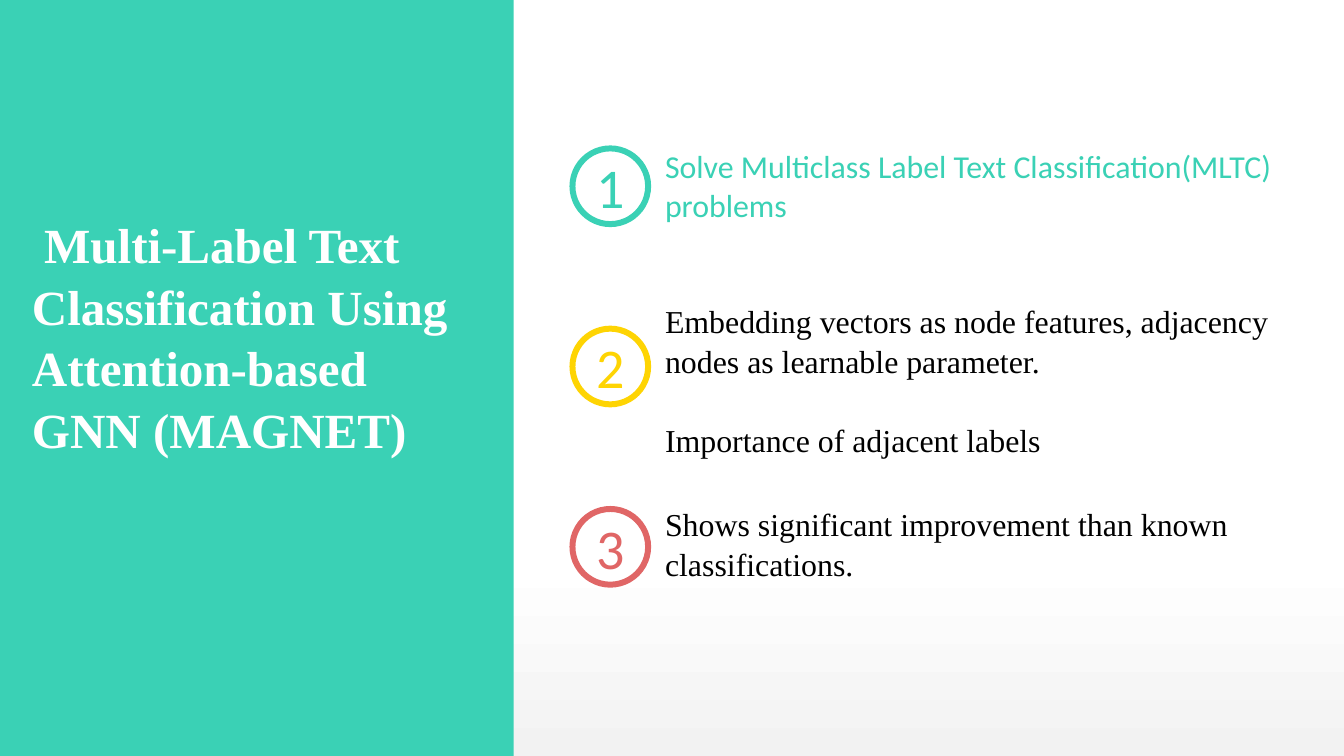
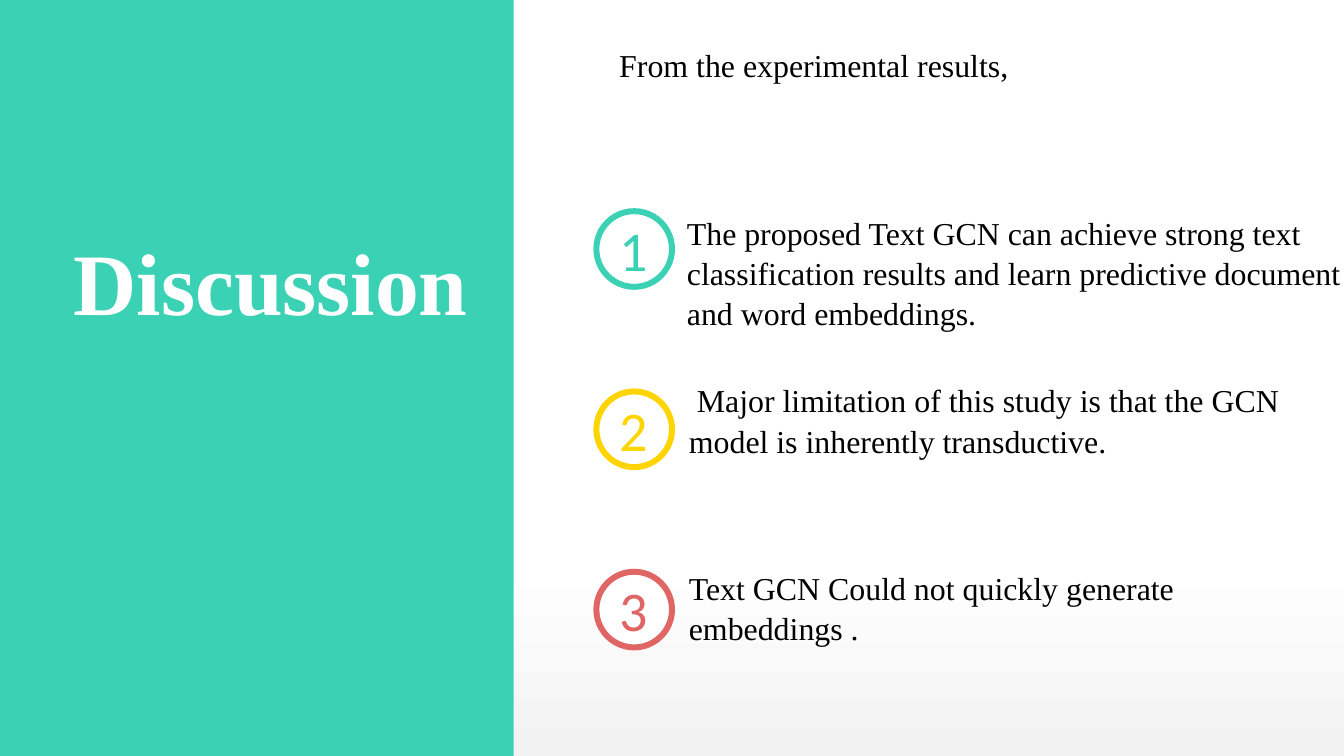
import dataclasses

import pptx
import pptx.dml.color
import pptx.enum.shapes
import pptx.enum.text
import pptx.util

PX = 9525
ANCHOR = pptx.enum.text.MSO_ANCHOR
ALIGN = pptx.enum.text.PP_ALIGN
SHAPE = pptx.enum.shapes.MSO_SHAPE
rgb = pptx.dml.color.RGBColor.from_string


@dataclasses.dataclass(frozen=True)
class Theme:
    white: str = "FFFFFF"
    grey: str = "F2F2F2"
    black: str = "000000"
    teal: str = "3AD1B5"
    yellow: str = "FED403"
    red: str = "E06666"
    serif: str = "Times New Roman"
    sans: str = "Calibri"
    body_size: float = 24
    number_size: float = 42.2
    ring_width: float = 4.5
    serif_spacing: float = 1.05


theme = Theme()
WIDTH, HEIGHT = 1350, 759
BAND_WIDTH = 516
RING_SIZE, RING_STEP = 76, 181


def write(shape, lines, size, font, color, anchor=ANCHOR.MIDDLE,
          align=ALIGN.LEFT, bold=False, gap=0, inset=0):
    """Fill a shape with one paragraph per line, gap points apart."""
    frame = shape.text_frame
    frame.word_wrap = True
    frame.auto_size = pptx.enum.text.MSO_AUTO_SIZE.NONE
    frame.vertical_anchor = anchor
    frame.margin_left = frame.margin_right = inset * PX
    frame.margin_top = frame.margin_bottom = inset * PX
    frame.text = "\n".join(lines)
    for para in frame.paragraphs:
        para.alignment = align
        para.line_spacing = theme.serif_spacing if font == theme.serif else 1.0
        for span in para.runs:
            span.font.name = font
            span.font.size = pptx.util.Pt(size)
            span.font.bold = bold
            span.font.color.rgb = rgb(color)
    for para in frame.paragraphs[:-1]:
        para.space_after = pptx.util.Pt(gap)


def add_filled(page, kind, box, color):
    shape = page.shapes.add_shape(kind, *(length * PX for length in box))
    shape.shadow.inherit = False
    shape.fill.solid()
    shape.fill.fore_color.rgb = rgb(color)
    shape.line.fill.background()
    return shape


# Each point: box, lines, font, colour, gap between paragraphs
slides = [
    dict(
        title=" Multi-Label Text Classification Using Attention-based GNN (MAGNET)",
        title_box=(32, 212, 453, 239), title_size=37, ring_at=(575, 149), intro=None,
        points=[
            ((668, 149, 643, 74),
             ["Solve Multiclass Label Text Classification(MLTC) problems"],
             theme.sans, theme.teal, 0),
            ((668, 300, 643, 161),
             ["Embedding vectors as node features, adjacency nodes as learnable parameter.",
              "Importance of adjacent labels"],
             theme.serif, theme.black, 29),
            ((668, 508, 634, 74),
             ["Shows significant improvement than known classifications."],
             theme.serif, theme.black, 0),
        ],
    ),
    dict(
        title=" Discussion",
        title_box=(52, 224, 453, 107), title_size=66, ring_at=(599, 212),
        intro="From the experimental results,",
        points=[
            ((690, 236, 668, 74),
             ["The proposed Text GCN can achieve strong text classification results "
              "and learn predictive document and word embeddings."],
             theme.serif, theme.black, 0),
            ((692, 384, 668, 74),
             [" Major limitation of this study is that the GCN model is inherently "
              "transductive."],
             theme.serif, theme.black, 0),
            ((692, 572, 680, 74),
             ["Text GCN Could not quickly generate", "embeddings ."],
             theme.serif, theme.black, 0),
        ],
    ),
]

deck = pptx.Presentation()
deck.slide_width, deck.slide_height = WIDTH * PX, HEIGHT * PX

# Shared backdrop: grey at the foot fading to white
backdrop = deck.slide_master.background.fill
backdrop.gradient()
backdrop.gradient_angle = 90
for stop, position, color in zip(backdrop.gradient_stops, (0, 0.26),
                                 (theme.grey, theme.white)):
    stop.position = position
    stop.color.rgb = rgb(color)

for content in slides:
    page = deck.slides.add_slide(deck.slide_layouts[5])

    title = page.shapes.title
    title.left, title.top, title.width, title.height = (
        length * PX for length in content["title_box"])
    write(title, [content["title"]], content["title_size"], theme.serif,
          theme.white, anchor=ANCHOR.TOP, bold=True)

    band = add_filled(page, SHAPE.RECTANGLE, (0, 0, BAND_WIDTH, HEIGHT), theme.teal)
    title._element.addprevious(band._element)

    if content["intro"]:
        intro = page.shapes.add_textbox(612 * PX, 34 * PX, 1083 * PX, 59 * PX)
        write(intro, [content["intro"]], theme.body_size, theme.serif, theme.black,
              anchor=ANCHOR.TOP, inset=10)

    ring_left, ring_top = content["ring_at"]
    ring_colors = (theme.teal, theme.yellow, theme.red)
    for index, (point, ring_color) in enumerate(zip(content["points"], ring_colors)):
        ring = add_filled(
            page, SHAPE.OVAL,
            (ring_left, ring_top + index * RING_STEP, RING_SIZE, RING_SIZE),
            theme.white)
        ring.line.color.rgb = rgb(ring_color)
        ring.line.width = pptx.util.Pt(theme.ring_width)
        write(ring, [str(index + 1)], theme.number_size, theme.sans, ring_color,
              align=ALIGN.CENTER)

        box, lines, font, color, gap = point
        label = page.shapes.add_textbox(*(length * PX for length in box))
        write(label, lines, theme.body_size, font, color, gap=gap)

deck.save("out.pptx")
